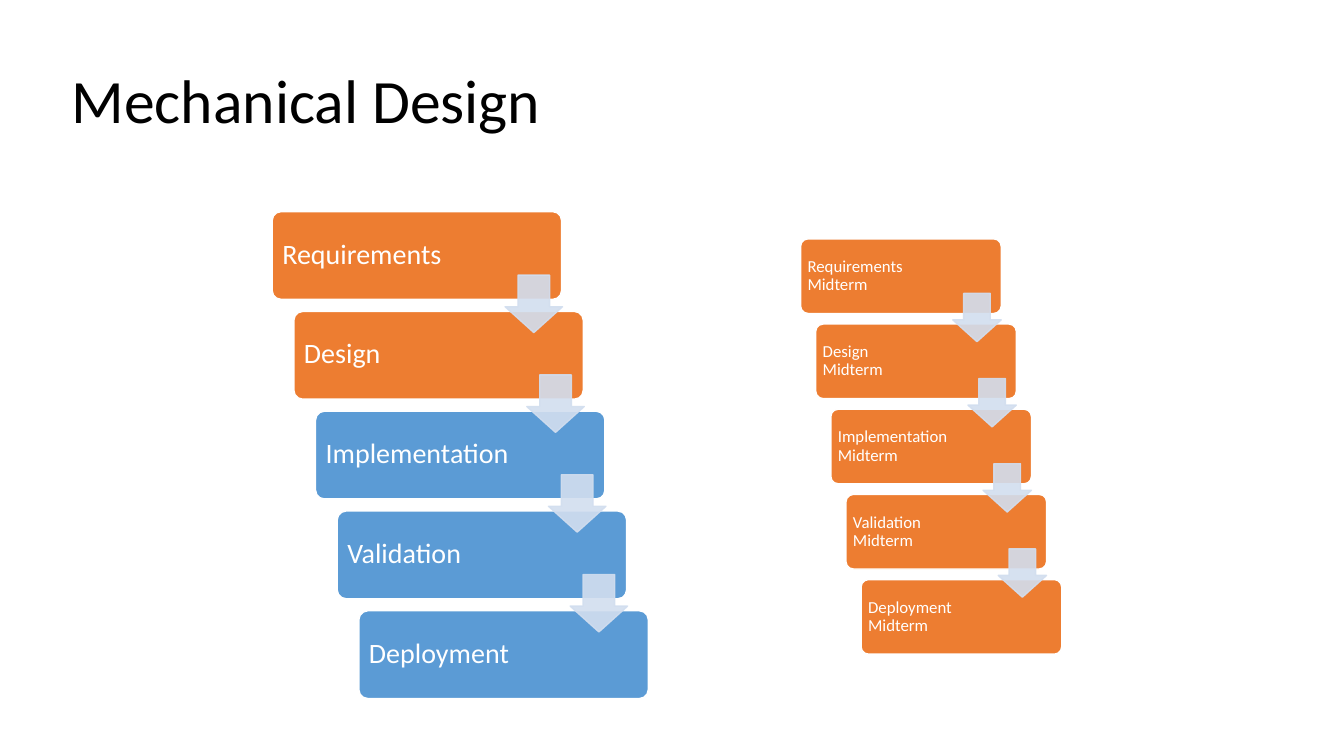
from dataclasses import dataclass

from pptx import Presentation
from pptx.dml.color import RGBColor
from pptx.enum.shapes import MSO_SHAPE as Preset
from pptx.enum.text import MSO_ANCHOR as Anchor, MSO_AUTO_SIZE as AutoSize, PP_ALIGN as Align
from pptx.oxml.ns import qn
from pptx.util import Inches, Pt


@dataclass(frozen=True)
class Theme:
    font: str = "Calibri"
    title: str = "000000"
    label: str = "FFFFFF"
    border: str = "FFFFFF"
    done: str = "ED7D31"
    pending: str = "5B9BD5"
    arrow: str = "D2DEEF"
    arrow_alpha: int = 90
    title_size: int = 44
    large: int = 20
    small: int = 12


THEME = Theme()
STAGES = ["Requirements", "Design", "Implementation", "Validation", "Deployment"]


@dataclass(frozen=True)
class Cascade:
    """Lengths in inches for one staircase of steps."""
    start: tuple
    step: tuple
    box: tuple
    label: tuple
    first_label_width: float
    inset: float
    arrow_offset: tuple
    arrow_size: float
    text_size: int
    done_count: int
    note: str = ""


OVERALL = Cascade(start=(2.7, 2.1), step=(0.215, 0.99), box=(2.87, 0.87),
                  label=(2.04, 0.82), first_label_width=1.83, inset=0.08,
                  arrow_offset=(2.31, 0.63), arrow_size=0.57,
                  text_size=THEME.large, done_count=2)
MIDTERM = Cascade(start=(7.94, 2.37), step=(0.15, 0.845), box=(1.99, 0.74),
                  label=(1.31, 0.7), first_label_width=1.1, inset=0.05,
                  arrow_offset=(1.51, 0.54), arrow_size=0.48,
                  text_size=THEME.small, done_count=5, note="Midterm")


def write_text(frame, lines, *, size, color, inset=(0.1, 0.05)):
    """Write left-aligned lines, vertically centred, in one paragraph."""
    frame.word_wrap = True
    frame.auto_size = AutoSize.NONE
    frame.vertical_anchor = Anchor.MIDDLE
    frame.margin_left = frame.margin_right = Inches(inset[0])
    frame.margin_top = frame.margin_bottom = Inches(inset[1])
    para = frame.paragraphs[0]
    para.alignment = Align.LEFT
    para.line_spacing = 0.9
    for index, line in enumerate(lines):
        if index:
            para.add_line_break()
        span = para.add_run()
        span.text = line
        span.font.name = THEME.font
        span.font.size = Pt(size)
        span.font.color.rgb = RGBColor.from_string(color)


def add_preset(group, preset, left, top, width, height, *, adjust, fill, line, alpha=None):
    shape = group.shapes.add_shape(
        preset, Inches(left), Inches(top), Inches(width), Inches(height))
    shape.shadow.inherit = False
    for index, value in enumerate(adjust):
        shape.adjustments[index] = value
    shape.fill.solid()
    shape.fill.fore_color.rgb = RGBColor.from_string(fill)
    shape.line.color.rgb = RGBColor.from_string(line)
    shape.line.width = Pt(1)
    if alpha is not None:
        # Transparency applies to both fill and outline
        for color in shape.fill._xPr.iter(qn("a:srgbClr")):
            color.makeelement(qn("a:alpha"))
            tag = color.makeelement(qn("a:alpha"), {"val": str(alpha * 1000)})
            color.append(tag)
    return shape


def add_label(group, left, top, width, height, lines, *, size, inset):
    box = group.shapes.add_textbox(Inches(left), Inches(top), Inches(width), Inches(height))
    write_text(box.text_frame, lines, size=size, color=THEME.label, inset=(inset, inset))


def add_cascade(page, cascade):
    group = page.shapes.add_group_shape()
    corners = [(cascade.start[0] + index * cascade.step[0],
                cascade.start[1] + index * cascade.step[1])
               for index in range(len(STAGES))]

    # Steps with their labels
    for index, (stage, (left, top)) in enumerate(zip(STAGES, corners)):
        fill = THEME.done if index < cascade.done_count else THEME.pending
        add_preset(group, Preset.ROUNDED_RECTANGLE, left, top, *cascade.box,
                   adjust=[0.1], fill=fill, line=THEME.border)
        width, height = cascade.label
        if index == 0:
            width = cascade.first_label_width
        lines = [stage, cascade.note] if cascade.note else [stage]
        add_label(group, left + 0.02, top + 0.02, width, height, lines,
                  size=cascade.text_size, inset=cascade.inset)

    # Arrows from each step to the next
    for left, top in corners[:-1]:
        add_preset(group, Preset.DOWN_ARROW,
                   left + cascade.arrow_offset[0], top + cascade.arrow_offset[1],
                   cascade.arrow_size, cascade.arrow_size, adjust=[0.55, 0.45],
                   fill=THEME.arrow, line=THEME.arrow, alpha=THEME.arrow_alpha)


def add_title(page, text):
    title = page.shapes.title
    title.left, title.top = Inches(0.61), Inches(0.3)
    title.width, title.height = Inches(11.5), Inches(1.45)
    write_text(title.text_frame, [text], size=THEME.title_size, color=THEME.title)


def main():
    deck = Presentation()
    deck.slide_width, deck.slide_height = Inches(13.33), Inches(7.5)
    page = deck.slides.add_slide(deck.slide_layouts.get_by_name("Title Only"))
    add_title(page, "Mechanical Design")
    add_cascade(page, MIDTERM)
    add_cascade(page, OVERALL)
    deck.save("out.pptx")


if __name__ == "__main__":
    main()
